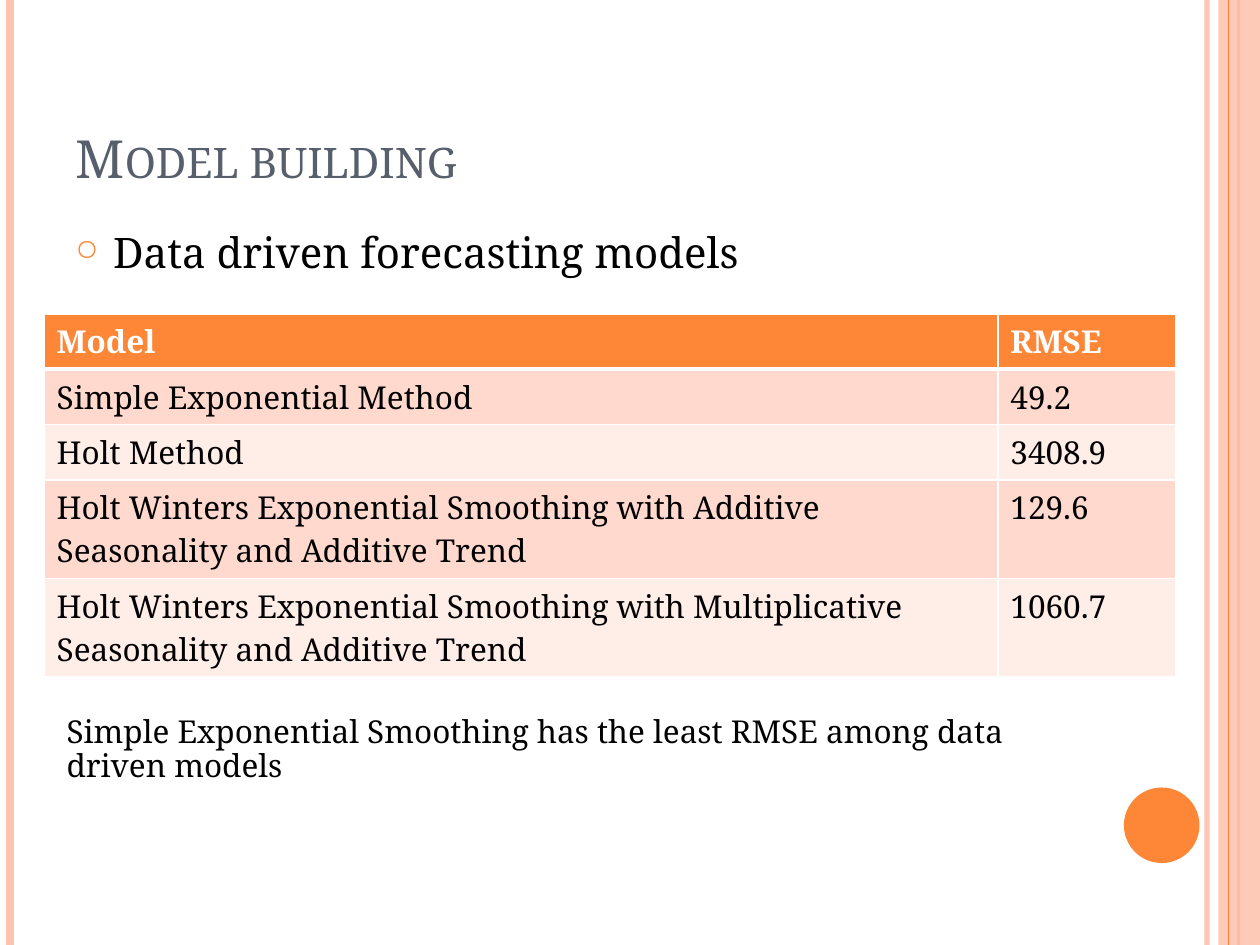
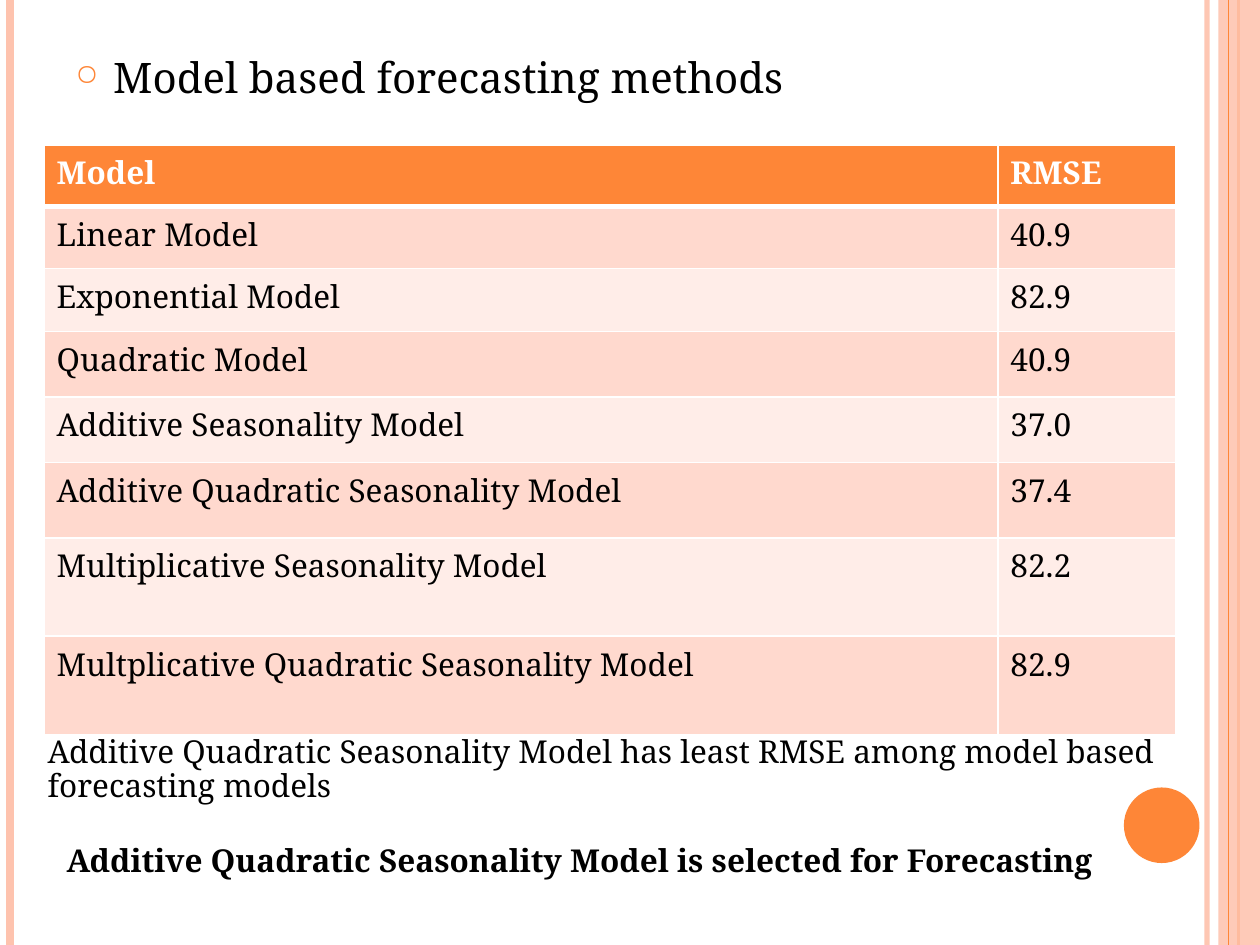
from lxml import etree
from pptx import Presentation
from pptx.dml.color import RGBColor
from pptx.enum.shapes import MSO_CONNECTOR, MSO_SHAPE
from pptx.enum.text import MSO_ANCHOR, PP_ALIGN
from pptx.oxml.ns import qn
from pptx.util import Inches, Pt

LINE = MSO_CONNECTOR.STRAIGHT
RECT, DOT = MSO_SHAPE.RECTANGLE, MSO_SHAPE.OVAL
LOW, TOP = MSO_ANCHOR.BOTTOM, MSO_ANCHOR.TOP
LEFT = PP_ALIGN.LEFT

FONT = "Noto Serif"
ORANGE, PEACH, SLATE = "FE8637", "FEC3AE", "575F6D"
BLACK, WHITE = "000000", "FFFFFF"
BANDS = "FFD9CE", "FFEDE8"
COLS, ROWS = 100, 75
SPLIT = 75.7, 14.1
SIDE, WIDE = 3.5, 89.8

deck = Presentation()
deck.slide_width, deck.slide_height = Inches(10), Inches(7.5)
TITLED, BLANK = deck.slide_layouts[5], deck.slide_layouts[6]


def col(n):
    return int(deck.slide_width * n / COLS)


def row(n):
    return int(deck.slide_height * n / ROWS)


def place(box):
    x, y, w, h = box
    return col(x), row(y), col(w), row(h)


def tint(code):
    return RGBColor.from_string(code)


def sub(node, tag, **attrs):
    child = etree.SubElement(node, qn(tag))
    for key, value in attrs.items():
        child.set(key, str(value))
    return child


def write(frame, text, size=18, color=BLACK, bold=False, caps=False,
          anchor=TOP, space=None, before=0):
    frame.word_wrap = True
    frame.vertical_anchor = anchor
    para = frame.paragraphs[0]
    para.alignment = LEFT
    para.space_before = Pt(before)
    if space:
        para.line_spacing = space
    run = para.add_run()
    run.text = text
    font = run.font
    font.name, font.size, font.bold = FONT, Pt(size), bold
    font.color.rgb = tint(color)
    if caps:
        font._element.set("cap", "small")
    return para


def rule(slide, x, color, width, alpha=100):
    bar = slide.shapes.add_connector(LINE, col(x), 0, col(x), row(ROWS))
    bar.line.color.rgb = tint(color)
    bar.line.width = Pt(width)
    fade(bar, alpha)
    sub(bar._element.spPr, "a:effectLst")


def fade(shape, alpha):
    if alpha < 100:
        hue = next(shape._element.spPr.iter(qn("a:srgbClr")))
        sub(hue, "a:alpha", val=alpha * 1000)


def block(slide, kind, box, color, alpha=100):
    shape = slide.shapes.add_shape(kind, *place(box))
    shape.shadow.inherit = False
    shape.fill.solid()
    shape.fill.fore_color.rgb = tint(color)
    shape.line.fill.background()
    fade(shape, alpha)


def frame(slide):
    rule(slide, 95.8, PEACH, 3, 93)
    rule(slide, 0.8, PEACH, 4.5)
    rule(slide, 98.3, ORANGE, 1.5)
    block(slide, RECT, (96.7, 0, 3.3, ROWS), PEACH, 87)
    rule(slide, 97.5, ORANGE, 0.75)
    block(slide, DOT, (89.2, 62.5, 6, 6), ORANGE)


def head(slide, text, box):
    title = slide.shapes.title
    title.left, title.top, title.width, title.height = place(box)
    write(title.text_frame, text, size=30, color=SLATE, caps=True, anchor=LOW)


def note(slide, text, box, **form):
    area = slide.shapes.add_textbox(*place(box))
    return write(area.text_frame, text, **form)


def point(slide, text, box):
    para = note(slide, text, box, size=24, before=6)
    props = para._p.get_or_add_pPr()
    props.set("marL", str(col(3)))
    props.set("indent", str(-col(3)))
    sub(sub(props, "a:buClr"), "a:srgbClr", val=ORANGE)
    sub(props, "a:buSzPct", val=70000)
    sub(props, "a:buChar", char="\u25cb")


def edge(cell, first):
    props = cell._tc.get_or_add_tcPr()
    for side in "LRTB":
        width = 3 if first and side == "B" else 1
        line = sub(props, "a:ln" + side, w=Pt(width))
        sub(sub(line, "a:solidFill"), "a:srgbClr", val=WHITE)


def grid(slide, data, top, highs):
    lines = [("Model", "RMSE"), *data]
    box = place((SIDE, top, WIDE, sum(highs)))
    table = slide.shapes.add_table(len(lines), len(SPLIT), *box).table
    for part, width in zip(table.columns, SPLIT):
        part.width = col(width)
    for r, (line, high) in enumerate(zip(lines, highs)):
        table.rows[r].height = row(high)
        first = r == 0
        for c, text in enumerate(line):
            cell = table.cell(r, c)
            edge(cell, first)
            cell.fill.solid()
            cell.fill.fore_color.rgb = tint(ORANGE if first else BANDS[(r - 1) % 2])
            write(cell.text_frame, text, color=WHITE if first else BLACK, bold=first)


def driven():
    slide = deck.slides.add_slide(TITLED)
    frame(slide)
    head(slide, "Model building", (5, 3, 81.7, 12.5))
    point(slide, "Data driven forecasting models", (5, 17.5, 81.7, 6))
    grid(slide, [
        ("Simple Exponential Method", "49.2"),
        ("Holt Method", "3408.9"),
        ("Holt Winters Exponential Smoothing with Additive "
         "Seasonality and Additive Trend", "129.6"),
        ("Holt Winters Exponential Smoothing with Multiplicative "
         "Seasonality and Additive Trend", "1060.7"),
    ], 24.9, (4.4, 4.4, 4.4, 7.8, 7.8))
    note(slide, "Simple Exponential Smoothing has the least RMSE among data "
         "driven models", (4.3, 56.4, 78, 7.1), space=0.89)


def based():
    slide = deck.slides.add_slide(BLANK)
    frame(slide)
    point(slide, "Model based forecasting methods", (5, 3.6, 81.7, 6))
    grid(slide, [
        ("Linear Model", "40.9"),
        ("Exponential Model", "82.9"),
        ("Quadratic Model", "40.9"),
        ("Additive Seasonality Model", "37.0"),
        ("Additive Quadratic Seasonality Model", "37.4"),
        ("Multiplicative Seasonality Model", "82.2"),
        ("Multplicative Quadratic Seasonality Model", "82.9"),
    ], 11.5, (4.9, 4.9, 5, 5.2, 5.2, 6, 7.8, 7.8))
    note(slide, "Additive Quadratic Seasonality Model has least RMSE among "
         "model based forecasting models", (2.8, 58, 90.6, 7.1), space=0.89)
    note(slide, "Additive Quadratic Seasonality Model is selected for Forecasting",
         (4.3, 66.6, 88.2, 4), bold=True, space=0.89)


driven()
based()
deck.save("out.pptx")
